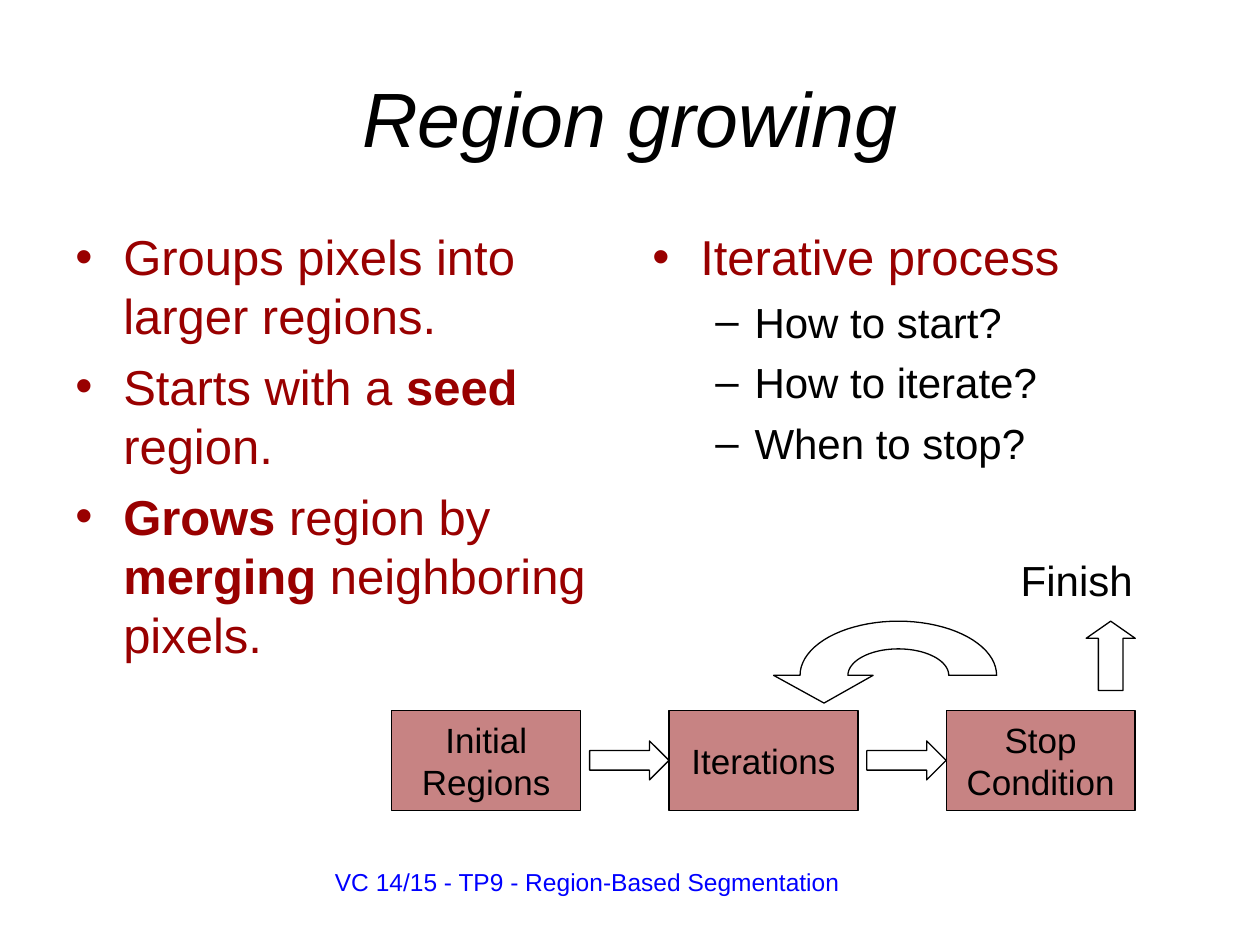
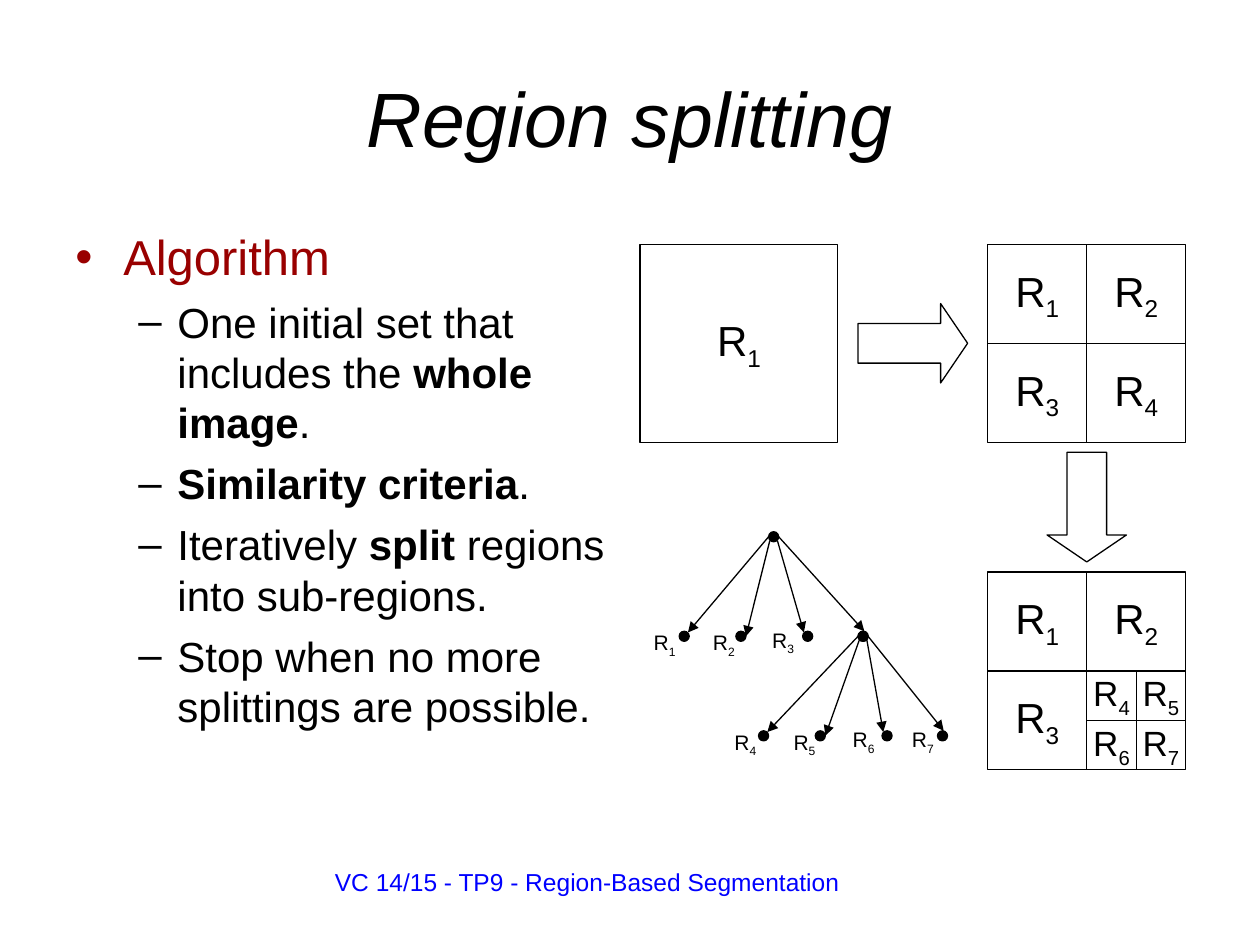
from dataclasses import dataclass
from math import cos, pi, sin

from lxml.etree import SubElement
from pptx import Presentation
from pptx.dml.color import RGBColor as RGB
from pptx.enum.shapes import MSO_CONNECTOR as Conn, MSO_SHAPE as Kind
from pptx.enum.text import MSO_ANCHOR as Anchor, MSO_AUTO_SIZE as Auto, PP_ALIGN as Align
from pptx.oxml.ns import qn
from pptx.util import Inches, Pt


@dataclass(frozen=True)
class Theme:
    font: str = "Arial"
    ink: str = "000000"
    red: str = "990000"
    rose: str = "C78383"
    blue: str = "0000FF"
    title: int = 44
    body: int = 28
    sub: int = 24
    box: int = 20
    foot: int = 14
    label: int = 12
    line: float = 0.75


T = Theme()

# Content: ** marks bold, _ marks a subscript, and each bullet is (level, text)
FOOTER = "VC 14/15 - TP9 - Region-Based Segmentation"
GROWING = [
    (0, "Groups pixels into larger regions."),
    (0, "Starts with a **seed **region."),
    (0, "**Grows **region by **merging** neighboring pixels."),
]
PROCESS = [
    (0, "Iterative process"),
    (1, "How to start?"),
    (1, "How to iterate?"),
    (1, "When to stop?"),
]
SPLITTING = [
    (0, "Algorithm"),
    (1, "One initial set that includes the **whole image**."),
    (1, "**Similarity criteria**."),
    (1, "Iteratively **split** regions into sub-regions."),
    (1, "Stop when no more splittings are possible."),
]
STEPS = ["Initial\vRegions", "Iterations", "Stop\nCondition"]

# Split states: left, top, side and the regions, nested where split again
STATES = [
    (5.08, 1.94, 1.57, "R_1"),
    (7.84, 1.94, 1.57, ["R_1", "R_2", "R_3", "R_4"]),
    (7.84, 4.54, 1.57, ["R_1", "R_2", "R_3", ["R_4", "R_5", "R_6", "R_7"]]),
]
# Tree branches: parent, child centres, left of the first label, labels
TREE = [
    ((6.14, 4.26), [5.43, 5.88, 6.41, 6.85], 5.05, ["R_1", "R_2", "R_3"]),
    ((6.85, 5.05), [6.06, 6.51, 7.04, 7.48], 5.69, ["R_4", "R_5", "R_6", "R_7"]),
]
DROP, DOT = 0.79, 0.08
TAILS = [(-0.04, 0), (-0.03, 0.03), (0.03, 0.03), (0.04, 0)]
TIPS = [(0.03, -0.03), (0.04, 0), (-0.03, -0.03), (0.01, -0.04)]


def place(*sizes):
    return [Inches(n) for n in sizes]


def style(par, size, color=T.ink, align=Align.LEFT):
    par.alignment = align
    font = par.font
    font.name, font.size = T.font, Pt(size)
    font.color.rgb = RGB.from_string(color)


def write(par, text):
    """Add runs, reading ** as a bold switch and _ as the start of a subscript."""
    for i, part in enumerate(text.split("**")):
        base, _, low = part.partition("_")
        if base:
            for j, piece in enumerate(base.split("\v")):
                if j:
                    par.add_line_break()
                run = par.add_run()
                run.text = piece
                if i % 2:
                    run.font.bold = True
        if low:
            run = par.add_run()
            run.text = low
            run._r.get_or_add_rPr().set("baseline", "-25000")


def fill_text(shape, text, size, color=T.ink, align=Align.CENTER, wrap=False):
    frame = shape.text_frame
    frame.word_wrap = wrap
    for i, line in enumerate(text.split("\n")):
        par = frame.add_paragraph() if i else frame.paragraphs[0]
        write(par, line)
        style(par, size, color, align)
    return frame


def note(slide, at, text, size):
    """Add a one-line label whose box fits its text."""
    box = slide.shapes.add_textbox(*place(*at))
    fill_text(box, text, size).auto_size = Auto.SHAPE_TO_FIT_TEXT


def bullets(slide, left, items):
    frame = slide.shapes.add_textbox(*place(left, 1.75, 4.42, 4.95)).text_frame
    frame.word_wrap = True
    looks = [("•", 0.38, 0.38, T.body, T.red, 7), ("–", 0.81, 0.31, T.sub, T.ink, 6)]
    for i, (level, text) in enumerate(items):
        mark, left_in, hang, size, color, gap = looks[level]
        par = frame.add_paragraph() if i else frame.paragraphs[0]
        par.level = level
        props = par._p.get_or_add_pPr()
        props.set("marL", str(Inches(left_in)))
        props.set("indent", str(-Inches(hang)))
        SubElement(SubElement(props, qn("a:buClr")), qn("a:srgbClr"), val=color)
        SubElement(props, qn("a:buFont"), typeface=T.font)
        SubElement(props, qn("a:buChar"), char=mark)
        par.space_before = Pt(gap if i else 0)
        write(par, text)
        style(par, size, color)


def paint(shape, fill=None):
    shape.shadow.inherit = False
    if fill:
        shape.fill.solid()
        shape.fill.fore_color.rgb = RGB.from_string(fill)
    else:
        shape.fill.background()
    shape.line.color.rgb = RGB.from_string(T.ink)
    shape.line.width = Pt(T.line)


def draw(slide, kind, at, fill=None, adjust=(), turn=0):
    shape = slide.shapes.add_shape(kind, *place(*at))
    for i, value in enumerate(adjust):
        shape.adjustments[i] = value
    shape.rotation = turn
    paint(shape, fill)
    return shape


def block(slide, at, text, size, fill=None):
    shape = draw(slide, Kind.RECTANGLE, at, fill)
    fill_text(shape, text, size).vertical_anchor = Anchor.MIDDLE


def quad(slide, x, y, side, part):
    """Draw one region, or its four quarters when it is split."""
    if isinstance(part, str):
        block(slide, (x, y, side, side), part, T.sub if side > 0.5 else T.box)
        return
    half = side / 2
    for i, piece in enumerate(part):
        quad(slide, x + i % 2 * half, y + i // 2 * half, half, piece)


def loop(slide):
    """Draw the arched arrow that leads back to the iterations."""
    cx, cy, steps = 7.13, 5.36, 40

    def arc(rx, ry, start, end):
        angles = [start + (end - start) * i / steps for i in range(steps + 1)]
        return [(cx + rx * cos(a), cy - ry * sin(a)) for a in angles]

    head = [(6.14, cy), (6.54, 5.58), (6.93, cy)]
    points = arc(0.4, 0.21, pi, 0) + arc(0.78, 0.43, 0, pi) + head
    first, *rest = [tuple(place(*p)) for p in points]
    outline = slide.shapes.build_freeform(*first)
    outline.add_line_segments(rest, close=True)
    paint(outline.convert_to_shape())


def arrow(slide, start, end):
    line = slide.shapes.add_connector(Conn.STRAIGHT, *place(*start, *end))
    line.line.color.rgb = RGB.from_string(T.ink)
    line.line.width = Pt(T.line)
    SubElement(line.line._get_or_add_ln(), qn("a:tailEnd"), type="triangle")
    SubElement(line._element.spPr, qn("a:effectLst"))


def dot(slide, x, y):
    draw(slide, Kind.OVAL, (x - DOT / 2, y - DOT / 2, DOT, DOT), T.ink)


def branch(slide, top, kids, left, names):
    x, y = top
    low = y + DROP
    dot(slide, x, y)
    for kid, tail, tip in zip(kids, TAILS, TIPS):
        dot(slide, kid, low)
        arrow(slide, (x + tail[0], y + tail[1]), (kid + tip[0], low + tip[1]))
    for i, name in enumerate(names):
        rise = 0.1 if i < 2 else 0.12
        note(slide, (left + 0.47 * i, low - rise, 0.45, 0.33), name, T.label)


def page(deck, title):
    slide = deck.slides.add_slide(deck.slide_layouts[6])
    foot = slide.shapes.add_textbox(*place(2.56, 6.83, 6.14, 0.52))
    fill_text(foot, FOOTER, T.foot, T.blue, Align.LEFT, True)
    head = slide.shapes.add_textbox(*place(0.5, 0.3, 9, 1.25))
    frame = fill_text(head, title, T.title, wrap=True)
    frame.vertical_anchor = Anchor.MIDDLE
    frame.paragraphs[0].font.italic = True
    return slide


def growing(deck):
    slide = page(deck, "Region growing")
    bullets(slide, 0.5, GROWING)
    bullets(slide, 5.08, PROCESS)
    pitch = 2.2
    for i, step in enumerate(STEPS):
        x = 3.11 + pitch * i
        block(slide, (x, 5.64, 1.5, 0.79), step, T.box, T.rose)
        if i:
            draw(slide, Kind.RIGHT_ARROW, (x - 0.63, 5.88, 0.63, 0.31), adjust=(0.5, 0.5))
    loop(slide)
    draw(slide, Kind.UP_ARROW, (8.62, 4.93, 0.39, 0.55), adjust=(0.5, 0.35))
    note(slide, (8, 4.35, 1.09, 0.5), "Finish", T.sub)


def splitting(deck):
    slide = page(deck, "Region splitting")
    bullets(slide, 0.5, SPLITTING)
    for state in STATES:
        quad(slide, *state)
    for x, y, turn in [(6.81, 2.41, 0), (8.19, 3.71, 90)]:
        draw(slide, Kind.RIGHT_ARROW, (x, y, 0.87, 0.63), adjust=(0.5, 0.34), turn=turn)
    for part in TREE:
        branch(slide, *part)


def main():
    deck = Presentation()
    deck.slide_width, deck.slide_height = place(10, 7.5)
    growing(deck)
    splitting(deck)
    deck.save("out.pptx")


if __name__ == "__main__":
    main()
